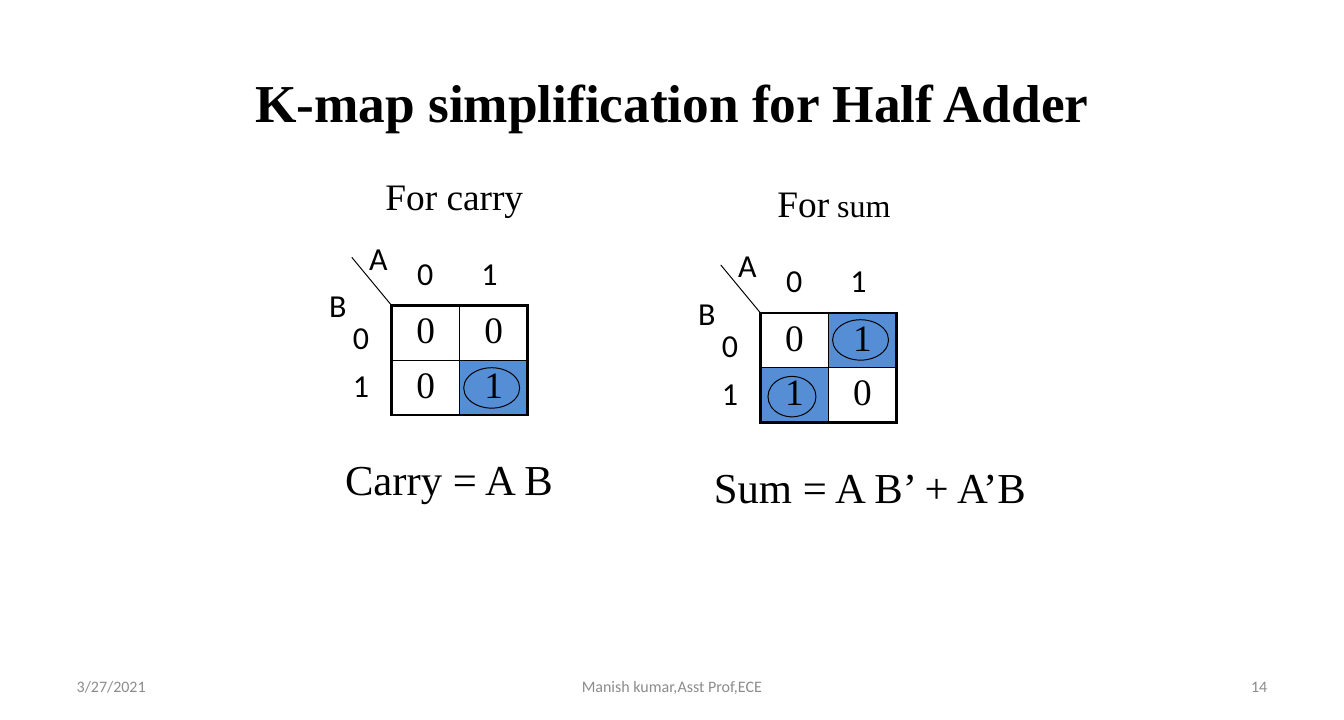
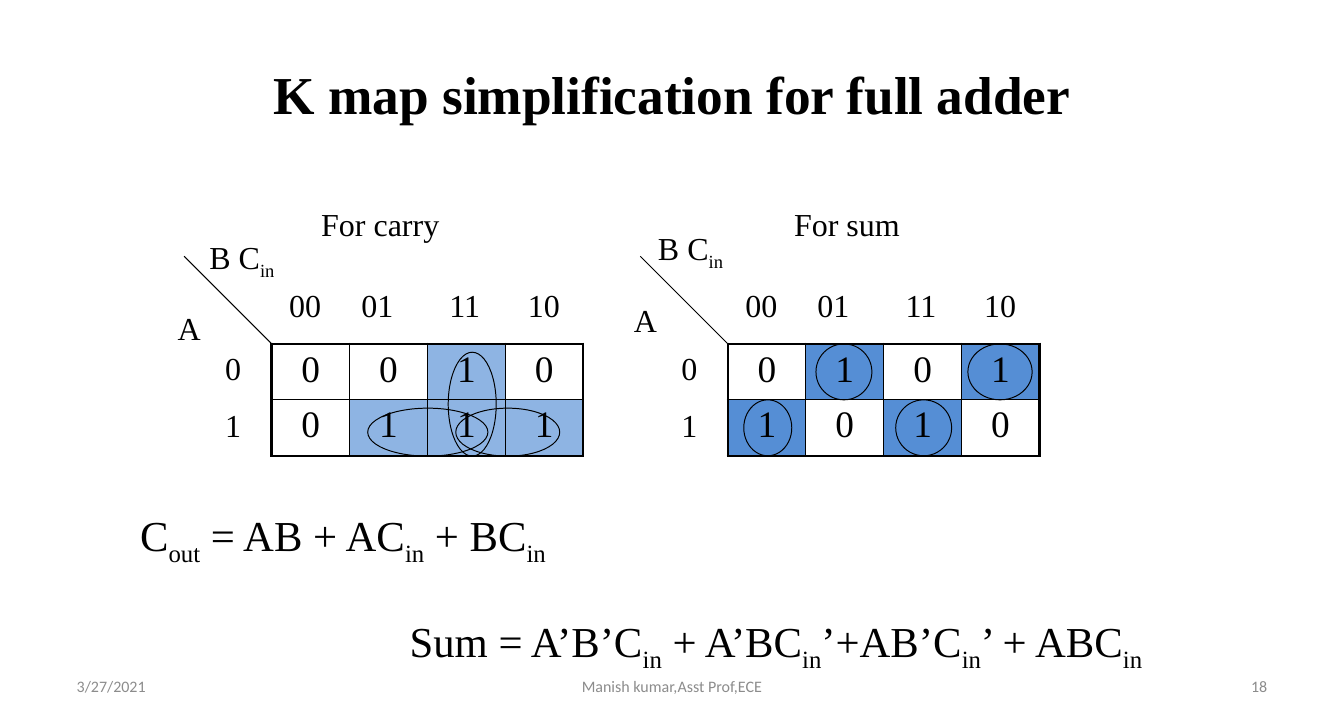
from dataclasses import dataclass
from typing import NamedTuple

from lxml import etree
from pptx import Presentation
from pptx import util as u
from pptx.dml.color import RGBColor
from pptx.enum import shapes, text
from pptx.oxml.ns import qn

BLACK = RGBColor(0x00, 0x00, 0x00)
GREY = RGBColor(0x8C, 0x8C, 0x8C)
BLUE = RGBColor(0x55, 0x8E, 0xD5)
PALE = RGBColor(0x8E, 0xB4, 0xE3)
SERIF = "Times New Roman"
SANS = "Calibri"
LEFT, MID, RIGHT = text.PP_ALIGN.LEFT, text.PP_ALIGN.CENTER, text.PP_ALIGN.RIGHT
WIDE, HIGH = 35.56, 19.05
THICK, THIN = 2.25, 1
STOPS = (0.41, 2.32, 4.65, 6.73)


class Box(NamedTuple):
    x: float
    y: float
    w: float
    h: float

    def shift(self, dx: float, dy: float) -> "Box":
        return self._replace(x=self.x + dx, y=self.y + dy)

    def cm(self) -> list:
        return [u.Cm(n) for n in self]


class Tag(NamedTuple):
    words: str
    box: Box
    size: float = 24
    font: str = SERIF
    minor: float = 0
    stops: tuple = ()


@dataclass
class Map:
    x: float
    y: float
    cells: tuple
    col: float
    row: float
    hot: RGBColor
    cut: tuple
    tags: list
    rings: list


def write(frame, words: str, *, size: float = 24, font: str = SERIF, color: RGBColor = BLACK,
          bold: bool = False, align=LEFT, minor: float = 0, stops: tuple = ()) -> None:
    """Odd parts between bars are subscripts, or set in the minor size."""
    for i, line in enumerate(words.split("\n")):
        para = frame.add_paragraph() if i else frame.paragraphs[0]
        if stops:
            tabs = etree.SubElement(para._p.get_or_add_pPr(), qn("a:tabLst"))
            for stop in stops:
                etree.SubElement(tabs, qn("a:tab"), pos=str(u.Cm(stop)), algn="l")
        para.alignment = align
        if i:
            para.space_before = u.Pt(size * 0.58)
        for j, part in enumerate(line.split("|")):
            if not part:
                continue
            run = para.add_run()
            run.text = part
            face = run.font
            face.name, face.bold, face.color.rgb = font, bold, color
            face.size = u.Pt(minor if minor and j % 2 else size)
            if j % 2 and not minor:
                run._r.get_or_add_rPr().set("baseline", "-25000")


def label(slide, words: str, box: Box, anchor=text.MSO_ANCHOR.TOP, **style) -> None:
    frame = slide.shapes.add_textbox(*box.cm()).text_frame
    frame.word_wrap = True
    frame.vertical_anchor = anchor
    write(frame, words, **style)


def edge(cell, side: str, width: float) -> None:
    line = etree.SubElement(cell._tc.get_or_add_tcPr(), qn("a:ln" + side), w=str(u.Pt(width)))
    fill = etree.SubElement(line, qn("a:solidFill"))
    etree.SubElement(fill, qn("a:srgbClr"), val=str(BLACK))


def grid(slide, m: Map) -> None:
    rows, cols = len(m.cells), len(m.cells[0])
    box = Box(m.x, m.y, cols * m.col, rows * m.row)
    table = slide.shapes.add_table(rows, cols, *box.cm()).table
    table.first_row = table.horz_banding = False
    for col in table.columns:
        col.width = u.Cm(m.col)
    for r, bits in enumerate(m.cells):
        table.rows[r].height = u.Cm(m.row)
        for c, bit in enumerate(bits):
            cell = table.cell(r, c)
            rims = {"L": c == 0, "R": c == cols - 1, "T": r == 0, "B": r == rows - 1}
            for side, rim in rims.items():
                edge(cell, side, THICK if rim else THIN)
            if bit == "1":
                cell.fill.solid()
                cell.fill.fore_color.rgb = m.hot
            else:
                cell.fill.background()
            write(cell.text_frame, bit, size=28, align=MID)


def slash(slide, m: Map) -> None:
    ends = (m.x - m.cut[0], m.y - m.cut[1], m.x, m.y)
    line = slide.shapes.add_connector(shapes.MSO_CONNECTOR.STRAIGHT, *map(u.Cm, ends))
    line.line.color.rgb = BLACK
    line.line.width = u.Pt(0.75)
    etree.SubElement(line._element.spPr, qn("a:effectLst"))


def ring(slide, box: Box) -> None:
    oval = slide.shapes.add_shape(shapes.MSO_SHAPE.OVAL, *box.cm())
    oval.shadow.inherit = False
    oval.fill.background()
    oval.line.color.rgb = BLACK
    oval.line.width = u.Pt(0.75)


def draw(slide, m: Map) -> None:
    grid(slide, m)
    slash(slide, m)
    for tag in m.tags:
        label(slide, tag.words, tag.box.shift(m.x, m.y), size=tag.size, font=tag.font,
              minor=tag.minor, stops=tag.stops)
    for box in m.rings:
        ring(slide, box.shift(m.x, m.y))


def half(x: float, y: float, cells: tuple, head: Tag, sum_up: Tag, rings: list) -> Map:
    tags = [Tag("A", Box(-0.84, -1.9, 1.06, 1.27), font=SANS),
            Tag("B", Box(-1.9, -0.64, 1.06, 1.27), font=SANS)]
    for i in range(2):
        tags += [Tag(str(i), Box(0.43 + 1.7 * i, -1.5, 1.48, 1.27), font=SANS),
                 Tag(str(i), Box(-1.27, 0.2 + 1.27 * i, 1.48, 1.27), font=SANS)]
    return Map(x, y, cells, 1.8, 1.45, BLUE, (1.05, 1.27), tags + [head, sum_up], rings)


def full(x: float, cells: tuple, hot: RGBColor, lift: float, slide_by: float,
         head: Tag, sum_up: Tag, rings: list) -> Map:
    tags = [Tag("B C|in|", Box(-1.9 - slide_by, -2.95 - lift, 2.54, 1.27)),
            Tag("A", Box(-2.74, -1.05 - lift, 1.06, 1.27)),
            Tag("\t00\t01\t11\t10", Box(-0.2, -1.68, 8.46, 1.27), stops=STOPS),
            Tag("0\n1", Box(-1.48, 0, 1.06, 2.82))]
    return Map(x, 9.1, cells, 2.06, 1.48, hot, (2.32, 2.32), tags + [head, sum_up], rings)


def page(deck, name: str, top: float, number: str, maps: list) -> None:
    slide = deck.slides.add_slide(deck.slide_layouts[5])
    title = slide.shapes.title
    title.left, title.top, title.width, title.height = Box(0, top, WIDE, 2.41).cm()
    title.text_frame.vertical_anchor = text.MSO_ANCHOR.MIDDLE
    write(title.text_frame, name, size=40, bold=True, align=MID)
    for m in maps:
        draw(slide, m)
    feet = (("3/27/2021", 1.78, 8.3, LEFT),
            ("Manish kumar,Asst Prof,ECE", 12.15, 11.26, MID),
            (number, 25.48, 8.3, RIGHT))
    for words, x, w, align in feet:
        label(slide, words, Box(x, 17.65, w, 1.02), anchor=text.MSO_ANCHOR.MIDDLE,
              size=12, font=SANS, color=GREY, align=align)


HALF = [
    half(10.36, 8.08, ("00", "01"),
         Tag("For carry", Box(-0.41, -3.63, 5.5, 1.45), 28),
         Tag("Carry = A B", Box(-1.48, 3.78, 6.35, 1.63), 32),
         [Box(1.91, 1.65, 1.48, 1.07)]),
    half(20.12, 8.28, ("01", "10"),
         Tag("For| sum|", Box(0.2, -3.63, 5.5, 1.45), 28, minor=24),
         Tag("Sum = A B’ + A’B", Box(-1.48, 3.78, 12.27, 1.63), 32),
         [Box(0.2, 1.68, 1.27, 1.07), Box(1.91, 0.18, 1.48, 1.07)]),
]
FULL = [
    full(7.19, ("0010", "0111"), PALE, 0, 0,
         Tag("For carry", Box(1.06, -3.81, 5.5, 1.27)),
         Tag("C|out| = AB + AC|in| + BC|in|", Box(-3.73, 4.24, 13.06, 1.63), 32),
         [Box(4.67, 0.22, 1.27, 2.75), Box(2.54, 1.7, 3.18, 1.27),
          Box(4.87, 1.7, 2.75, 1.27)]),
    full(19.26, ("0101", "1010"), BLUE, 0.22, 0.2,
         Tag("For sum", Box(1.5, -3.81, 5.5, 1.27)),
         Tag("Sum = A’B’C|in| + A’BC|in|’+AB’C|in|’ + ABC|in|",
             Box(-8.67, 7.05, 24.56, 1.63), 32),
         [Box(0.42, 1.48, 1.27, 1.48), Box(2.33, 0, 1.48, 1.48),
          Box(6.35, 0, 1.7, 1.48), Box(4.44, 1.48, 1.48, 1.48)]),
]


def main() -> None:
    deck = Presentation()
    deck.slide_width, deck.slide_height = u.Cm(WIDE), u.Cm(HIGH)
    page(deck, "K-map simplification for Half Adder", 1.47, "14", HALF)
    page(deck, "K map simplification for full adder", 1.27, "18", FULL)
    deck.save("out.pptx")


if __name__ == "__main__":
    main()
